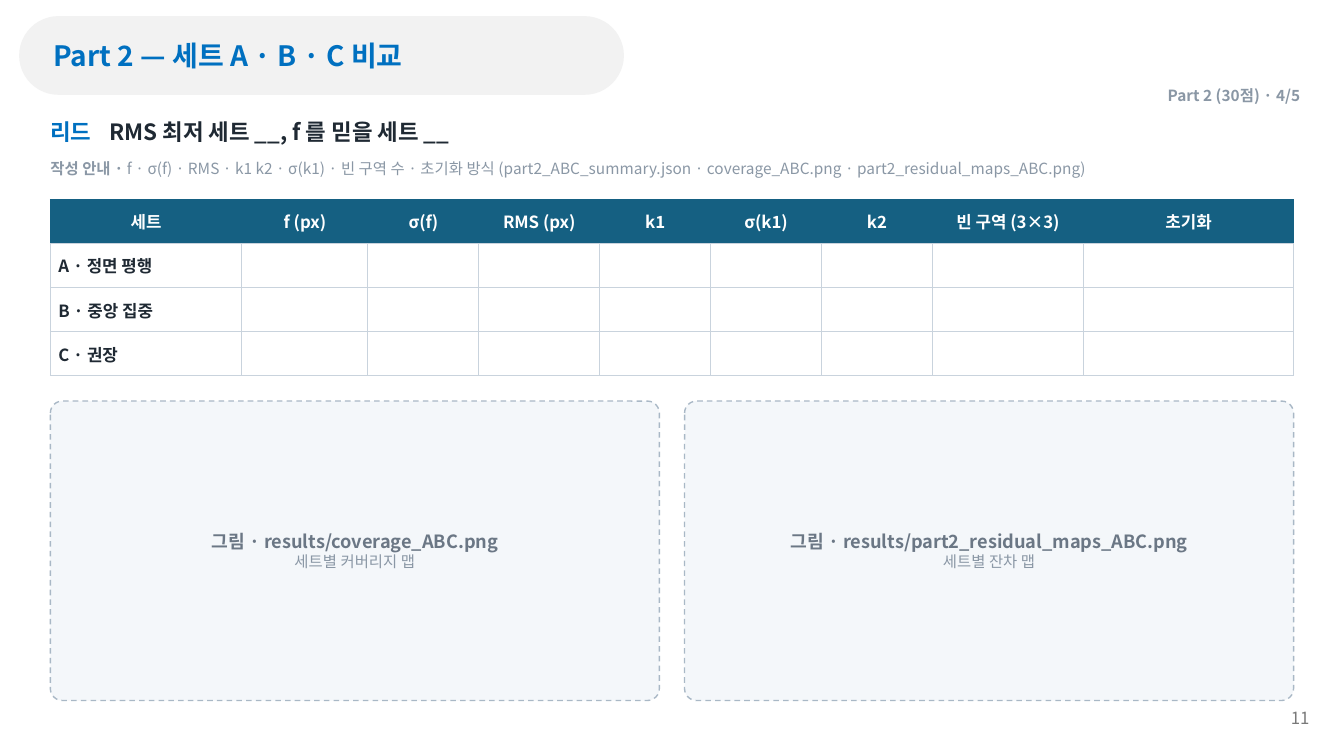
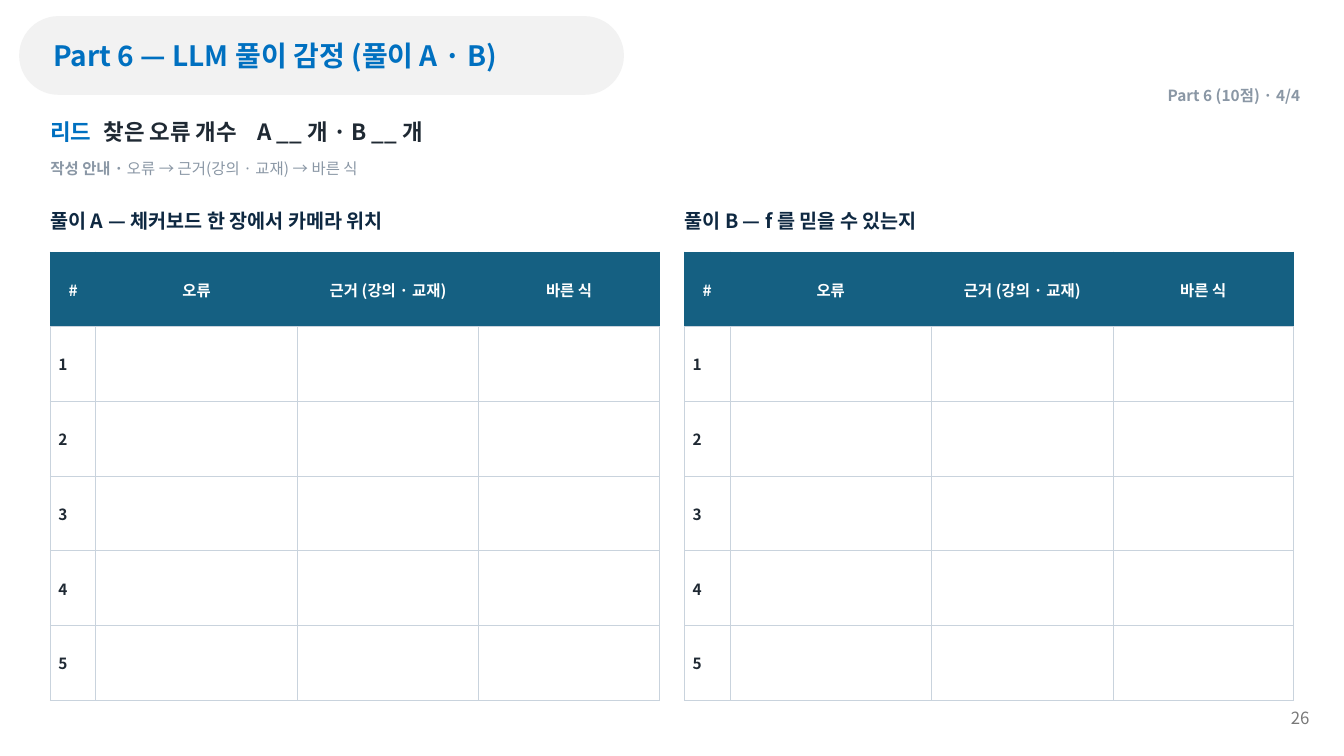
from dataclasses import dataclass
from typing import Optional

import lxml.etree
import pptx
import pptx.dml.color
import pptx.enum.dml
import pptx.enum.shapes
import pptx.enum.text
import pptx.oxml.ns
import pptx.presentation
import pptx.slide
import pptx.text.text
import pptx.util

Pt = pptx.util.Pt
qn = pptx.oxml.ns.qn
Align = pptx.enum.text.PP_ALIGN
Middle = pptx.enum.text.MSO_ANCHOR.MIDDLE


@dataclass(frozen=True)
class Theme:
    font: str = "Noto Sans CJK KR"
    accent: str = "0070C0"
    band: str = "F2F2F2"
    ink: str = "1F2933"
    navy: str = "0E2841"
    muted: str = "8A97A5"
    page: str = "797979"
    white: str = "FFFFFF"
    header: str = "156082"
    grid: str = "C9D3DD"
    frame_fill: str = "F4F7FA"
    frame_line: str = "A9B8C6"
    frame_text: str = "6B7785"
    title_size: float = 20
    lead_size: float = 16
    heading_size: float = 14
    frame_size: float = 13
    body_size: float = 12
    small_size: float = 11


THEME = Theme()


@dataclass(frozen=True)
class Box:
    left: float
    top: float
    width: float
    height: float

    def lengths(self) -> list[pptx.util.Length]:
        return [Pt(value) for value in (self.left, self.top, self.width, self.height)]


@dataclass(frozen=True)
class Style:
    size: float
    color: str
    bold: bool = True
    align: Align = Align.LEFT


@dataclass(frozen=True)
class Piece:
    """A stretch of text that may differ from its paragraph's style."""
    text: str
    color: Optional[str] = None
    bold: Optional[bool] = None


@dataclass(frozen=True)
class Header:
    title: str
    section: str
    lead: str
    lead_tabs: tuple[float, ...]
    guide: str
    page: int


@dataclass(frozen=True)
class Grid:
    headings: list[str]
    row_labels: list[str]
    column_widths: list[float]  # the last column takes what remains
    size: float


@dataclass(frozen=True)
class Figure:
    file: str
    caption: str


MARGIN = 36
CONTENT_WIDTH = 888
GAP = 18
HALF_WIDTH = (CONTENT_WIDTH - GAP) / 2
CONTENT_TOP = 142.5
CONTENT_BOTTOM = 500.4


def half_left(index: int) -> float:
    return MARGIN + index * (HALF_WIDTH + GAP)


def rgb(color: str) -> pptx.dml.color.RGBColor:
    return pptx.dml.color.RGBColor.from_string(color)


def write(paragraph: pptx.text.text._Paragraph, pieces: list[Piece], style: Style,
          tabs: tuple[float, ...] = ()) -> None:
    paragraph.alignment = style.align
    properties = paragraph._p.get_or_add_pPr()
    if tabs:
        tab_list = lxml.etree.SubElement(properties, qn("a:tabLst"))
        for position in tabs:
            lxml.etree.SubElement(tab_list, qn("a:tab"), pos=str(Pt(position)), algn="l")
    font = paragraph.font
    font.size = Pt(style.size)
    font.bold = style.bold
    font.color.rgb = rgb(style.color)
    font.name = THEME.font
    lxml.etree.SubElement(properties.find(qn("a:defRPr")), qn("a:ea"), typeface=THEME.font)
    for piece in pieces:
        run = paragraph.add_run()
        run.text = piece.text
        if piece.color is not None:
            run.font.color.rgb = rgb(piece.color)
        if piece.bold is not None:
            run.font.bold = piece.bold


def set_margins(target, horizontal: float, vertical: float) -> None:
    """Set the insets of a text frame or a table cell."""
    target.margin_left = target.margin_right = Pt(horizontal)
    target.margin_top = target.margin_bottom = Pt(vertical)


def add_text(slide: pptx.slide.Slide, box: Box, pieces: list[Piece], style: Style,
             tabs: tuple[float, ...] = (), inset: float = 0) -> None:
    frame = slide.shapes.add_textbox(*box.lengths()).text_frame
    frame.word_wrap = True
    frame.vertical_anchor = Middle
    set_margins(frame, inset, inset / 2)
    write(frame.paragraphs[0], pieces, style, tabs)


def add_rounded(slide: pptx.slide.Slide, box: Box, rounding: float, fill: str):
    shape = slide.shapes.add_shape(
        pptx.enum.shapes.MSO_SHAPE.ROUNDED_RECTANGLE, *box.lengths())
    shape.adjustments[0] = rounding
    shape.shadow.inherit = False
    shape.fill.solid()
    shape.fill.fore_color.rgb = rgb(fill)
    shape.line.fill.background()
    shape.text_frame.word_wrap = True
    shape.text_frame.vertical_anchor = Middle
    return shape


def add_header(slide: pptx.slide.Slide, header: Header) -> None:
    """Draw the title band, page number, section mark, lead and guide lines."""
    band = add_rounded(slide, Box(13.7, 11.5, 432, 56.2), 0.5, THEME.band)
    band.text_frame.margin_left = Pt(16.2)
    write(band.text_frame.paragraphs[0], [Piece(header.title)],
          Style(THEME.title_size, THEME.accent))
    add_text(slide, Box(910, 498.2, 32.4, 28.8), [Piece(str(header.page))],
             Style(THEME.body_size, THEME.page, False, Align.RIGHT), inset=7.2)
    add_text(slide, Box(680.4, 57.6, 248.4, 21.6), [Piece(header.section)],
             Style(THEME.small_size, THEME.muted, align=Align.RIGHT))
    add_text(slide, Box(MARGIN, 79.2, CONTENT_WIDTH, 30.2),
             [Piece("리드\t", color=THEME.accent), Piece(header.lead)],
             Style(THEME.lead_size, THEME.ink), header.lead_tabs)
    add_text(slide, Box(MARGIN, 108, CONTENT_WIDTH, 24.5),
             [Piece("작성 안내 · ", bold=True), Piece(header.guide)],
             Style(THEME.small_size, THEME.muted, False))


def set_borders(cell, color: str) -> None:
    properties = cell._tc.get_or_add_tcPr()
    for side in "LRTB":
        line = lxml.etree.SubElement(properties, qn(f"a:ln{side}"), w=str(Pt(0.75)))
        fill = lxml.etree.SubElement(line, qn("a:solidFill"))
        lxml.etree.SubElement(fill, qn("a:srgbClr"), val=color)


def add_grid(slide: pptx.slide.Slide, box: Box, grid: Grid) -> None:
    blanks = [""] * (len(grid.headings) - 1)
    rows = [grid.headings] + [[label] + blanks for label in grid.row_labels]
    table = slide.shapes.add_table(
        len(rows), len(grid.headings), *box.lengths()).table
    table.horz_banding = False
    widths = grid.column_widths + [box.width - sum(grid.column_widths)]
    for column, width in zip(table.columns, widths):
        column.width = Pt(width)
    heading_style = Style(grid.size, THEME.white, align=Align.CENTER)
    label_style = Style(grid.size, THEME.ink)
    for row_index, texts in enumerate(rows):
        is_heading = row_index == 0
        table.rows[row_index].height = Pt(box.height / len(rows))
        for column_index, text in enumerate(texts):
            cell = table.cell(row_index, column_index)
            set_margins(cell, 5.76, 2.16)
            cell.vertical_anchor = Middle
            set_borders(cell, THEME.header if is_heading else THEME.grid)
            cell.fill.solid()
            cell.fill.fore_color.rgb = rgb(THEME.header if is_heading else THEME.white)
            write(cell.text_frame.paragraphs[0], [Piece(text)] if text else [],
                  heading_style if is_heading else label_style)


def add_figure_frame(slide: pptx.slide.Slide, box: Box, figure: Figure) -> None:
    shape = add_rounded(slide, box, 0.04, THEME.frame_fill)
    shape.line.color.rgb = rgb(THEME.frame_line)
    shape.line.width = Pt(1)
    shape.line.dash_style = pptx.enum.dml.MSO_LINE.DASH
    frame = shape.text_frame
    set_margins(frame, 8.64, 8.64)
    write(frame.paragraphs[0], [Piece(f"그림 · {figure.file}")],
          Style(THEME.frame_size, THEME.frame_text, align=Align.CENTER))
    write(frame.add_paragraph(), [Piece(figure.caption)],
          Style(THEME.small_size, THEME.muted, False, Align.CENTER))


def add_blank_slide(presentation: pptx.presentation.Presentation) -> pptx.slide.Slide:
    return presentation.slides.add_slide(presentation.slide_layouts[6])


def build_comparison(presentation: pptx.presentation.Presentation) -> None:
    slide = add_blank_slide(presentation)
    add_header(slide, Header(
        "Part 2 — 세트 A · B · C 비교", "Part 2 (30점) · 4/5",
        "RMS 최저 세트 __, f 를 믿을 세트 __", (42,),
        "f · σ(f) · RMS · k1 k2 · σ(k1) · 빈 구역 수 · 초기화 방식 "
        "(part2_ABC_summary.json · coverage_ABC.png · part2_residual_maps_ABC.png)", 11))
    add_grid(slide, Box(MARGIN, CONTENT_TOP, CONTENT_WIDTH, 126), Grid(
        ["세트", "f (px)", "σ(f)", "RMS (px)", "k1", "σ(k1)", "k2", "빈 구역 (3×3)", "초기화"],
        ["A · 정면 평행", "B · 중앙 집중", "C · 권장"],
        [136.8, 90, 79.2, 86.4, 79.2, 79.2, 79.2, 108], THEME.body_size))
    figures = [Figure("results/coverage_ABC.png", "세트별 커버리지 맵"),
               Figure("results/part2_residual_maps_ABC.png", "세트별 잔차 맵")]
    top = 286.5
    for index, figure in enumerate(figures):
        add_figure_frame(
            slide, Box(half_left(index), top, HALF_WIDTH, CONTENT_BOTTOM - top), figure)


def build_review(presentation: pptx.presentation.Presentation) -> None:
    slide = add_blank_slide(presentation)
    add_header(slide, Header(
        "Part 6 — LLM 풀이 감정 (풀이 A · B)", "Part 6 (10점) · 4/4",
        "찾은 오류 개수\tA __ 개 · B __ 개", (38, 148),
        "오류 → 근거(강의 · 교재) → 바른 식", 26))
    errors = Grid(["#", "오류", "근거 (강의 · 교재)", "바른 식"],
                  [str(number) for number in range(1, 6)],
                  [32.4, 144, 129.6], THEME.small_size)
    headings = ["풀이 A — 체커보드 한 장에서 카메라 위치", "풀이 B — f 를 믿을 수 있는지"]
    top = 180
    for index, heading in enumerate(headings):
        left = half_left(index)
        add_text(slide, Box(left, CONTENT_TOP, HALF_WIDTH, 30.2), [Piece(heading)],
                 Style(THEME.heading_size, THEME.navy))
        add_grid(slide, Box(left, top, HALF_WIDTH, CONTENT_BOTTOM - top), errors)


def main() -> None:
    presentation = pptx.Presentation()
    presentation.slide_width = Pt(960)
    presentation.slide_height = Pt(540)
    build_comparison(presentation)
    build_review(presentation)
    presentation.save("out.pptx")


if __name__ == "__main__":
    main()
